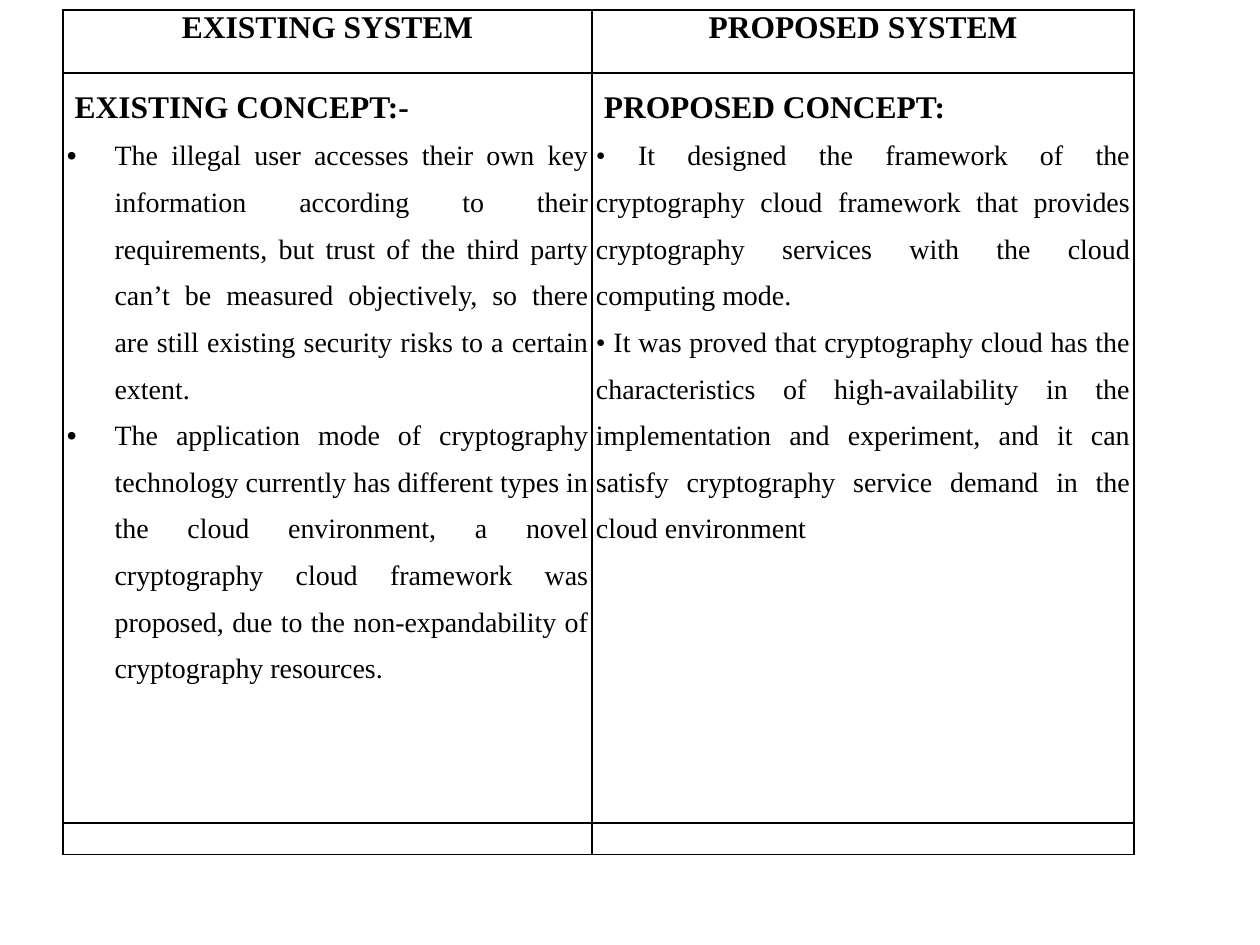
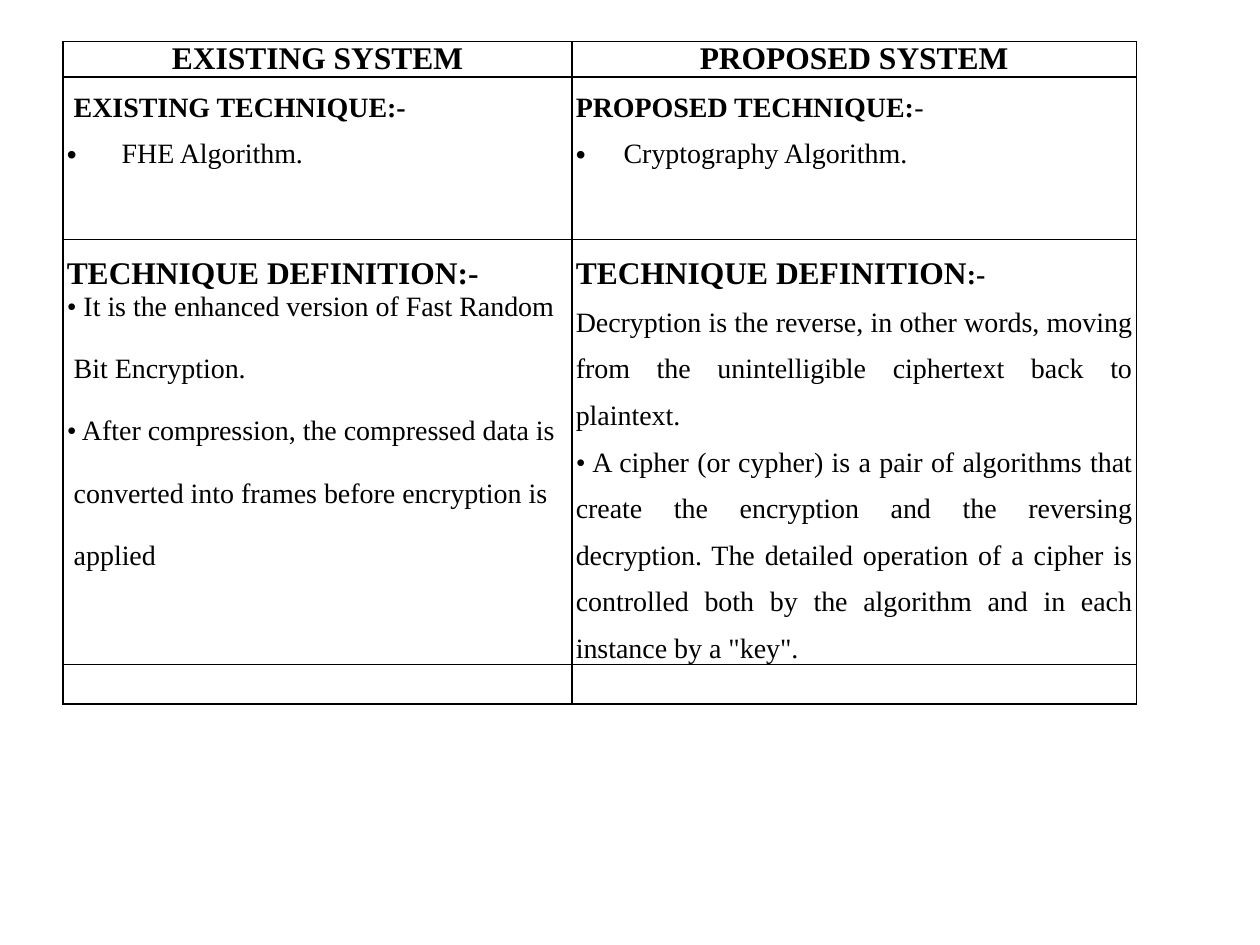
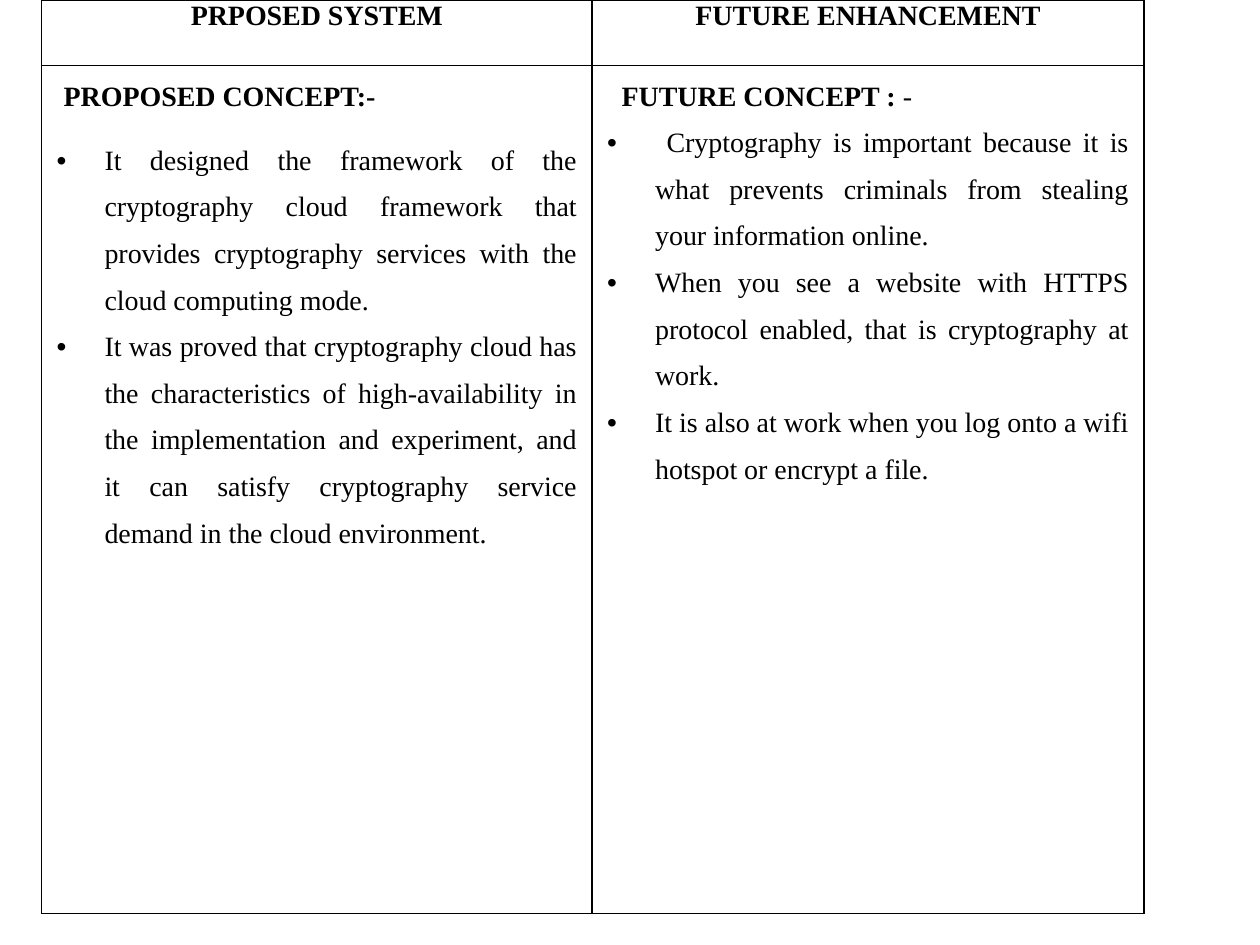
"""Builds three slides of two-column tables comparing cryptography systems."""
from lxml.etree import SubElement
from pptx import Presentation
from pptx.dml.color import RGBColor
from pptx.enum.text import PP_ALIGN
from pptx.oxml.ns import qn
from pptx.util import Inches, Pt

FONT, INK = "Times New Roman", "000000"
EDGES = ("a:lnL", "a:lnR", "a:lnT", "a:lnB")
BORDER_PT = 1
EMPTY_ROW_PT = 10
LEFT, CENTER, JUSTIFY = PP_ALIGN.LEFT, PP_ALIGN.CENTER, PP_ALIGN.JUSTIFY

STYLES = {
    "title": dict(alignment=CENTER, space_before=Pt(6), space_after=Pt(6)),
    "head": dict(alignment=LEFT, line_spacing=1.5),
    "spaced head": dict(alignment=JUSTIFY, line_spacing=1.5, space_after=Pt(10)),
    "body": dict(alignment=JUSTIFY, line_spacing=1.5),
    "bullet": dict(alignment=JUSTIFY, line_spacing=1.5),
    "loose": dict(alignment=LEFT, space_after=Pt(17.75)),
    "shifted head": dict(alignment=JUSTIFY, line_spacing=1.5),
}
INDENTS = {"bullet": (0.38, -0.38), "shifted head": (0.06, 0)}

H18, H16, TEXT = (18, True), (16, True), (16, False)


def para(style, *runs):
    """Return a paragraph of (text, format) runs; plain strings are body text."""
    return style, [(r, TEXT) if isinstance(r, str) else r for r in runs]


def titles(left, right, fmt):
    """Return the header row of a table."""
    return [[para("title", (text, fmt))] for text in (left, right)]


SLIDES = [
    dict(
        at=(0.5, 0.08), cols=(4.2, 4.3), rows=(0.5, 5.95, 0.25), inset=0.03,
        cells=[
            titles("EXISTING SYSTEM", "PROPOSED SYSTEM", H18),
            [
                [
                    para("head", (" EXISTING CONCEPT:-", H18)),
                    para("bullet", "The illegal user accesses their own key information according "
                         "to their requirements, but trust of the third party can’t be measured "
                         "objectively, so there are still existing security risks to a certain extent. "),
                    para("bullet", "The application mode of cryptography technology currently has "
                         "different types in the cloud environment, a novel cryptography cloud "
                         "framework was proposed, due to the non-expandability of cryptography resources."),
                ],
                [
                    para("head", (" PROPOSED CONCEPT: ", H18)),
                    para("body", "• It designed the framework of the cryptography cloud framework "
                         "that provides cryptography services with the cloud computing mode. "),
                    para("body", "• It was proved that cryptography cloud has the characteristics of "
                         "high-availability in the implementation and experiment, and it can "
                         "satisfy cryptography service demand in the cloud environment"),
                ],
            ],
            [[], []],
        ],
    ),
    dict(
        at=(0.5, 0.33), cols=(4.04, 4.48), rows=(0.28, 1.29, 3.37, 0.31), inset=0.03,
        cells=[
            titles("EXISTING SYSTEM", "PROPOSED SYSTEM", H18),
            [
                [
                    para("head", (" EXISTING TECHNIQUE:-", H16)),
                    para("bullet", " FHE Algorithm."),
                ],
                [
                    para("head", ("PROPOSED TECHNIQUE:", H16), "-"),
                    para("bullet", "Cryptography Algorithm."),
                ],
            ],
            [
                [
                    para("head", ("TECHNIQUE DEFINITION:-", H18)),
                    para("loose", "• It is the enhanced version of Fast Random"),
                    para("loose", " Bit Encryption. "),
                    para("loose", "• After compression, the compressed data is"),
                    para("loose", " converted into frames before encryption is"),
                    para("loose", " applied"),
                ],
                [
                    para("head", ("TECHNIQUE DEFINITION", H18), (":-", H16)),
                    para("body", "Decryption is the reverse, in other words, moving from the "
                         "unintelligible ciphertext back to plaintext. "),
                    para("body", "• A cipher (or cypher) is a pair of algorithms that create the "
                         "encryption and the reversing decryption. The detailed operation of a "
                         "cipher is controlled both by the algorithm and in each instance by a \"key\"."),
                ],
            ],
            [[], []],
        ],
    ),
    dict(
        at=(0.33, 0), cols=(4.37, 4.38), rows=(0.52, 6.73), inset=0.12,
        cells=[
            titles("PRPOSED SYSTEM", "FUTURE ENHANCEMENT", H16),
            [
                [
                    para("spaced head", (" PROPOSED CONCEPT:- ", H16)),
                    para("bullet", "It designed the framework of the cryptography cloud framework "
                         "that provides cryptography services with the cloud computing mode."),
                    para("bullet", "It was proved that cryptography cloud has the characteristics "
                         "of high-availability in the implementation and experiment, and it can "
                         "satisfy cryptography service demand in the cloud environment."),
                ],
                [
                    para("shifted head", (" FUTURE CONCEPT :", H16), " -"),
                    para("bullet", " Cryptography is important because it is what prevents "
                         "criminals from stealing your information online. "),
                    para("bullet", "When you see a website with HTTPS protocol enabled, that is "
                         "cryptography at work. "),
                    para("bullet", "It is also at work when you log onto a wifi hotspot or encrypt a file."),
                ],
            ],
        ],
    ),
]


def rgb(color):
    """Return a colour from a hex string."""
    return RGBColor.from_string(color)


def set_all(obj, values):
    """Set each attribute of an object from a dict."""
    for name, value in values.items():
        setattr(obj, name, value)


def add_borders(cell):
    """Draw a line on the four edges of a cell."""
    tcPr = cell._tc.get_or_add_tcPr()
    for i, edge in enumerate(EDGES):
        ln = tcPr.makeelement(qn(edge), {"w": str(Pt(BORDER_PT))})
        fill = SubElement(ln, qn("a:solidFill"))
        SubElement(fill, qn("a:srgbClr"), val=INK)
        tcPr.insert(i, ln)


def write_paragraph(p, style, runs):
    """Fill a paragraph with styled runs."""
    set_all(p, STYLES[style])
    pPr = p._p.get_or_add_pPr()
    if style in INDENTS:
        for name, value in zip(("marL", "indent"), INDENTS[style]):
            pPr.set(name, str(Inches(value)))
    if style == "bullet":
        SubElement(pPr, qn("a:buFont"), typeface="Arial")
        SubElement(pPr, qn("a:buChar"), char="•")
    for text, (size, bold) in runs:
        r = p.add_run()
        r.text = text
        set_all(r.font, dict(name=FONT, size=Pt(size), bold=bold))
        r.font.color.rgb = rgb(INK)


def write_cell(cell, paras, inset):
    """Format a cell and write its paragraphs."""
    set_all(cell, dict(margin_left=Inches(inset), margin_right=Inches(inset),
                       margin_top=0, margin_bottom=0))
    cell.fill.background()
    add_borders(cell)
    tf = cell.text_frame
    for i, (style, runs) in enumerate(paras):
        write_paragraph(tf.add_paragraph() if i else tf.paragraphs[0], style, runs)
    if not paras:
        SubElement(tf.paragraphs[0]._p, qn("a:endParaRPr"), sz=str(EMPTY_ROW_PT * 100))


def add_comparison(s, at, cols, rows, inset, cells):
    """Add a bordered comparison table to a slide."""
    box = [Inches(v) for v in (*at, sum(cols), sum(rows))]
    table = s.shapes.add_table(len(rows), len(cols), *box).table
    set_all(table, dict(first_row=False, horz_banding=False))
    for col, width in zip(table.columns, cols):
        col.width = Inches(width)
    for i, (row, height) in enumerate(zip(table.rows, rows)):
        row.height = Inches(height)
        for cell, paras in zip(row.cells, cells[i]):
            write_cell(cell, paras, inset if i else 0.03)


prs = Presentation()
set_all(prs, dict(slide_width=Inches(10), slide_height=Inches(7.5)))
for content in SLIDES:
    add_comparison(prs.slides.add_slide(prs.slide_layouts[6]), **content)
prs.save("out.pptx")
